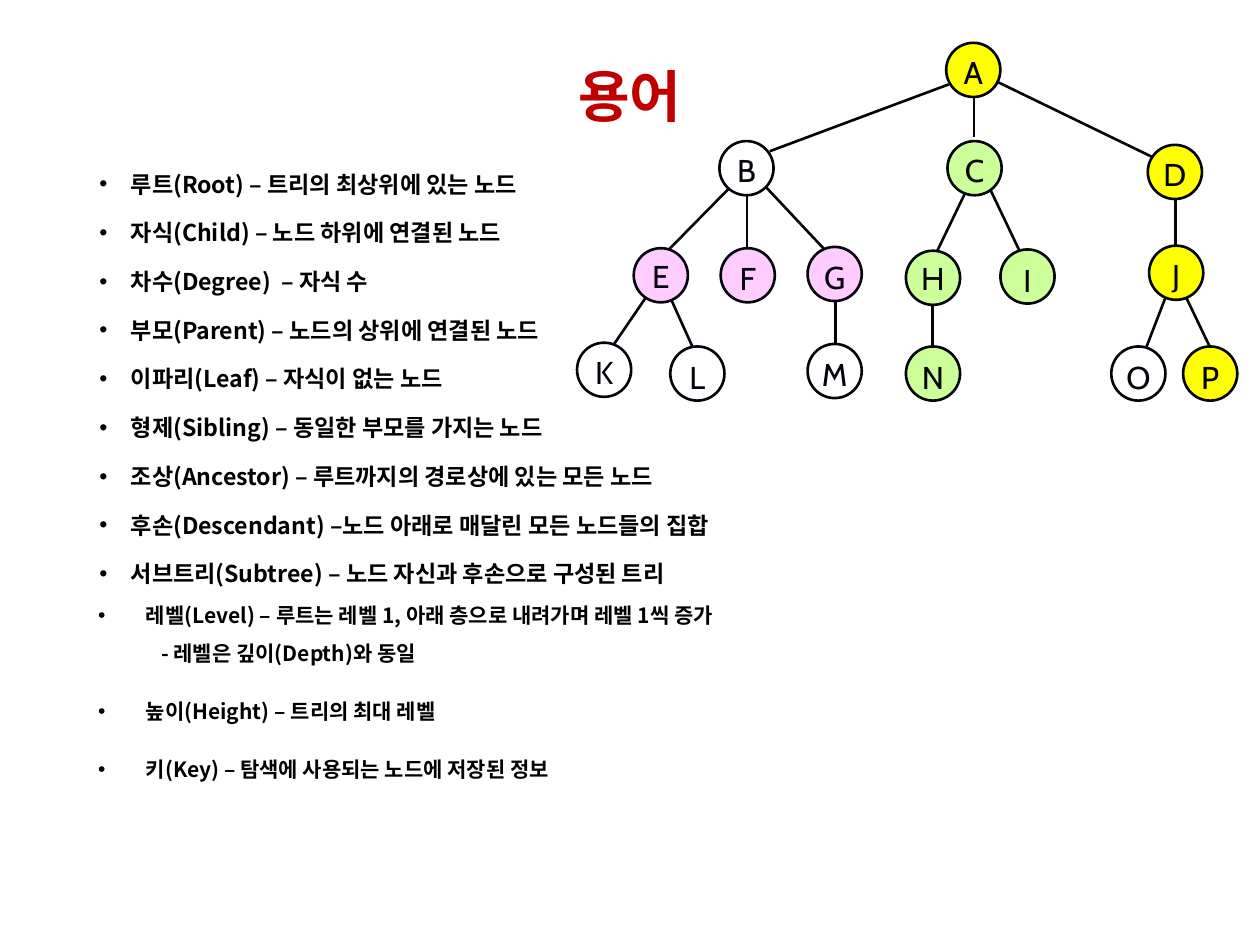
from typing import NamedTuple

from lxml.etree import SubElement
from pptx import Presentation
from pptx.dml.color import RGBColor
from pptx.enum.shapes import MSO_CONNECTOR as Link, MSO_SHAPE as Kind
from pptx.enum.text import MSO_ANCHOR as Anchor, PP_ALIGN as Align
from pptx.oxml.ns import qn
from pptx.util import Inches, Pt

BLACK = RGBColor(0, 0, 0)
INK = RGBColor(0x04, 0x05, 0x0C)
EDGE = RGBColor(0x05, 0x05, 0x0B)
RED = RGBColor(0xC0, 0, 0)
WHITE = RGBColor(0xFF, 0xFF, 0xFF)
GOLD = RGBColor(0xFF, 0xFF, 0)
PINK = RGBColor(0xFF, 0xCC, 0xFF)
LIME = RGBColor(0xCC, 0xFF, 0x99)
HANGUL = "Noto Sans CJK KR"
LATIN = "Cabin"
SIZE = 0.43


class Node(NamedTuple):
    name: str
    x: float
    y: float
    fill: RGBColor
    drop: float = 0.04  # from circle top to label top


class Edge(NamedTuple):
    x1: float
    y1: float
    x2: float
    y2: float
    color: RGBColor = EDGE


class Para(NamedTuple):
    text: str
    size: float
    after: float = 0
    left: float = 0
    bullet: bool = False
    align: Align = Align.LEFT
    lead: float = 1.0
    color: RGBColor = BLACK
    font: str = HANGUL
    bold: bool = True


NODES = [
    Node("A", 7.51, 0.34, GOLD, 0.03),
    Node("B", 5.71, 1.12, WHITE, 0.03),
    Node("C", 7.52, 1.12, LIME, 0.03),
    Node("D", 9.11, 1.15, GOLD, 0.03),
    Node("E", 5.03, 1.97, PINK, 0.02),
    Node("F", 5.72, 1.97, PINK),
    Node("G", 6.41, 1.96, PINK),
    Node("H", 7.19, 1.99, LIME, 0.02),
    Node("I", 7.94, 1.98, LIME),
    Node("J", 9.12, 1.95, GOLD, 0.03),
    Node("K", 4.58, 2.72, WHITE, 0.03),
    Node("L", 5.32, 2.75, WHITE),
    Node("M", 6.41, 2.73, WHITE),
    Node("N", 7.19, 2.75, LIME),
    Node("O", 8.82, 2.75, WHITE),
    Node("P", 9.39, 2.75, GOLD),
]
EDGES = [
    Edge(7.53, 0.67, 6.11, 1.2, BLACK),
    Edge(7.73, 0.77, 7.73, 1.09),
    Edge(7.71, 0.55, 9.38, 1.36),
    Edge(5.87, 1.41, 5.27, 2.02),
    Edge(5.93, 1.54, 5.93, 2.04),
    Edge(5.99, 1.39, 6.6, 2.04),
    Edge(7.69, 1.47, 7.42, 2.03),
    Edge(7.81, 1.4, 8.11, 2.03),
    Edge(9.33, 1.57, 9.33, 1.96),
    Edge(5.27, 2.15, 4.82, 2.81),
    Edge(5.27, 2.25, 5.54, 2.85),
    Edge(6.63, 2.31, 6.63, 2.79),
    Edge(7.4, 2.32, 7.4, 2.8),
    Edge(9.27, 2.31, 9.05, 2.88),
    Edge(9.39, 2.31, 9.61, 2.77),
]
TERMS = [
    "루트(Root) – 트리의 최상위에 있는 노드",
    "자식(Child) – 노드 하위에 연결된 노드",
    "차수(Degree)  – 자식 수",
    "부모(Parent) – 노드의 상위에 연결된 노드",
    "이파리(Leaf) – 자식이 없는 노드",
    "형제(Sibling) – 동일한 부모를 가지는 노드",
    "조상(Ancestor) – 루트까지의 경로상에 있는 모든 노드",
    "후손(Descendant) –노드 아래로 매달린 모든 노드들의 집합",
    "서브트리(Subtree) – 노드 자신과 후손으로 구성된 트리",
]


def more(text: str, after: float = 18, left: float = 0.38,
         bullet: bool = True) -> Para:
    """Describe a paragraph of the lower list."""
    return Para(text, 12, after, left, bullet, Align.JUSTIFY, 1.07)


MORE = [
    more("레벨(Level) – 루트는 레벨 1, 아래 층으로 내려가며 레벨 1씩 증가", 6),
    more("- 레벨은 깊이(Depth)와 동일", left=0.5, bullet=False),
    more("높이(Height) – 트리의 최대 레벨"),
    more("키(Key) – 탐색에 사용되는 노드에 저장된 정보"),
]


def add_text(shapes, x: float, y: float, w: float, h: float,
             paras: list[Para], anchor: Anchor = Anchor.TOP) -> None:
    box = shapes.add_textbox(Inches(x), Inches(y), Inches(w), Inches(h))
    frame = box.text_frame
    frame.word_wrap = True
    frame.vertical_anchor = anchor
    for i, para in enumerate(paras):
        line = frame.paragraphs[0] if i == 0 else frame.add_paragraph()
        props = line._p.get_or_add_pPr()
        props.set("marL", str(Inches(para.left)))
        if para.bullet:
            props.set("indent", str(-Inches(para.left)))
            SubElement(props, qn("a:buFont")).set("typeface", "Arial")
            SubElement(props, qn("a:buChar")).set("char", "•")
        line.alignment = para.align
        line.line_spacing = para.lead
        line.space_after = Pt(para.after)
        run = line.add_run()
        run.text = para.text
        font = run.font
        font.size = Pt(para.size)
        font.bold = para.bold
        font.color.rgb = para.color
        font.name = para.font
        SubElement(run._r.get_or_add_rPr(), qn("a:ea")).set("typeface", para.font)


def add_edge(shapes, edge: Edge) -> None:
    line = shapes.add_connector(Link.STRAIGHT, Inches(edge.x1), Inches(edge.y1),
                                Inches(edge.x2), Inches(edge.y2))
    line.line.color.rgb = edge.color
    line.line.width = Pt(1.5)
    SubElement(line._element.spPr, qn("a:effectLst"))


def add_node(shapes, node: Node) -> None:
    ring = shapes.add_shape(Kind.OVAL, Inches(node.x), Inches(node.y),
                            Inches(SIZE), Inches(SIZE))
    ring.shadow.inherit = False
    ring.fill.solid()
    ring.fill.fore_color.rgb = node.fill
    ring.line.color.rgb = INK
    ring.line.width = Pt(1.5)
    label = Para(node.name, 18, align=Align.CENTER, color=INK, font=LATIN,
                 bold=False)
    add_text(shapes, node.x - 0.02, node.y + node.drop, 0.47, 0.36, [label])


def main() -> None:
    deck = Presentation()
    deck.slide_width, deck.slide_height = Inches(10), Inches(7.5)
    shapes = deck.slides.add_slide(deck.slide_layouts[6]).shapes
    title = Para("용어", 32, align=Align.CENTER, lead=0.9, color=RED)
    add_text(shapes, 0.69, 0.51, 8.62, 0.55, [title], Anchor.MIDDLE)
    add_text(shapes, 0.69, 1.3, 7.23, 3.58,
             [Para(term, 13.2, 12, 0.25, True) for term in TERMS])
    tree = shapes.add_group_shape().shapes
    for edge in EDGES:
        add_edge(tree, edge)
    for node in NODES:
        add_node(tree, node)
    add_text(shapes, 0.68, 4.72, 8.41, 1.54, MORE)
    deck.save("out.pptx")


if __name__ == "__main__":
    main()
